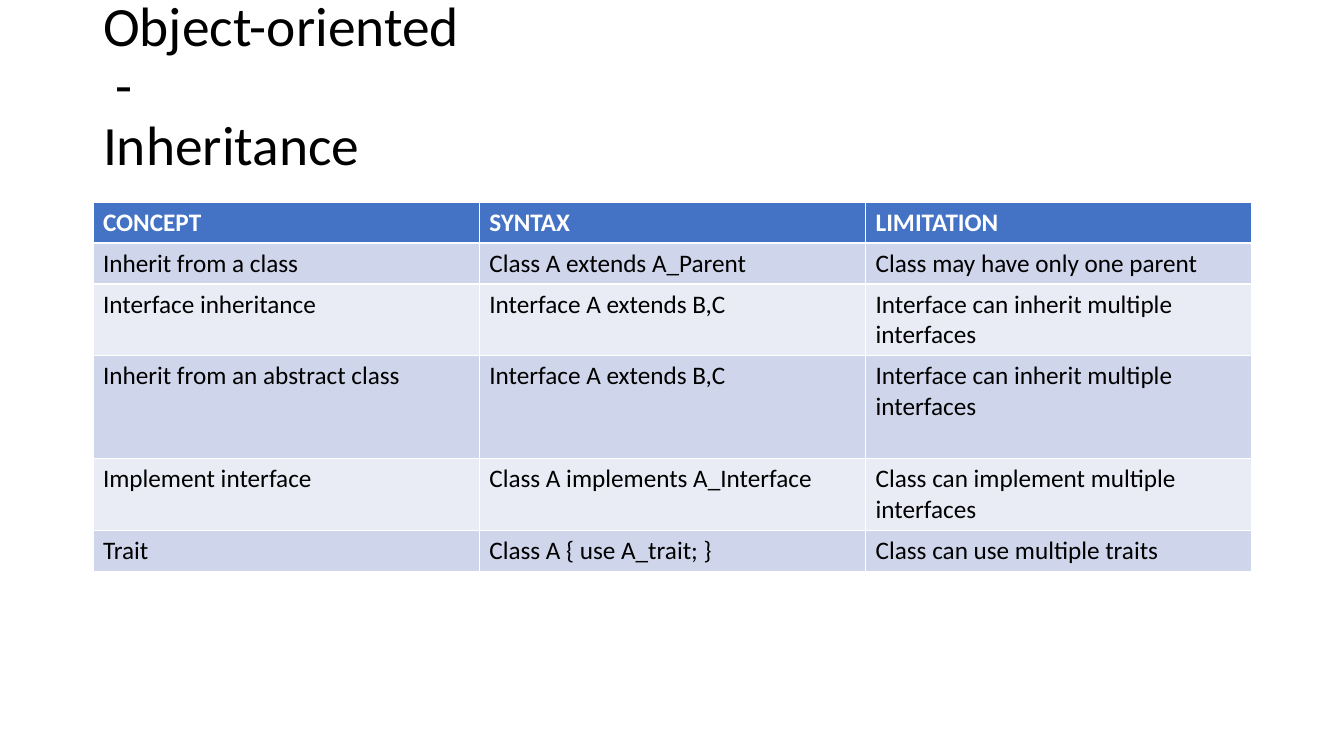
from pptx import Presentation
from pptx.dml.color import RGBColor
from pptx.enum.text import MSO_ANCHOR, MSO_AUTO_SIZE, PP_ALIGN
from pptx.util import Pt

LEFT = PP_ALIGN.LEFT
MIDDLE = MSO_ANCHOR.MIDDLE
NO_FIT = MSO_AUTO_SIZE.NONE

# Content
TITLE = "Object-oriented\v - \vInheritance"
ROWS = [
    ("CONCEPT", "SYNTAX", "LIMITATION"),
    ("Inherit from a class", "Class A extends A_Parent",
     "Class may have only one parent"),
    ("Interface inheritance", "Interface A extends B,C",
     "Interface can inherit multiple interfaces"),
    ("Inherit from an abstract class", "Interface A extends B,C",
     "Interface can inherit multiple interfaces"),
    ("Implement interface", "Class A implements A_Interface",
     "Class can implement multiple interfaces"),
    ("Trait", "Class A { use A_trait; }", "Class can use multiple traits"),
]
HEIGHTS = [41, 41, 71, 103, 71, 41]
COLORS = {"head": "4472C4", "odd": "CFD5EA", "even": "E9EBF5",
          "white": "FFFFFF", "black": "000000"}
FONT = "Calibri"
LEFT_X, WIDTH = 93, 1159


def px(n):
    return round(n * 914400 / 100.8)


def color(name):
    return RGBColor.from_string(COLORS[name])


def style(par, size, name, bold=False):
    font = par.font
    font.name, font.size, font.bold = FONT, Pt(size), bold
    font.color.rgb = color(name)
    par.alignment = LEFT


deck = Presentation()
deck.slide_width, deck.slide_height = px(1344), px(756)
slide = deck.slides.add_slide(deck.slide_layouts[5])

# Title
title = slide.shapes.title
title.left, title.top = px(LEFT_X), px(15)
title.width, title.height = px(WIDTH), px(146)
frame = title.text_frame
frame.text = TITLE
frame.auto_size, frame.vertical_anchor = NO_FIT, MIDDLE
frame.paragraphs[0].line_spacing = 0.9
style(frame.paragraphs[0], 39.6, "black")

# Table
table = slide.shapes.add_table(
    len(ROWS), len(ROWS[0]), px(LEFT_X), px(202),
    px(WIDTH), px(sum(HEIGHTS))).table
for r, (texts, height) in enumerate(zip(ROWS, HEIGHTS)):
    table.rows[r].height = px(height)
    head = r == 0
    band = "head" if head else "odd" if r % 2 else "even"
    for c, text in enumerate(texts):
        cell = table.cell(r, c)
        cell.text = text
        cell.fill.solid()
        cell.fill.fore_color.rgb = color(band)
        style(cell.text_frame.paragraphs[0], 18,
              "white" if head else "black", head)

deck.save("out.pptx")
